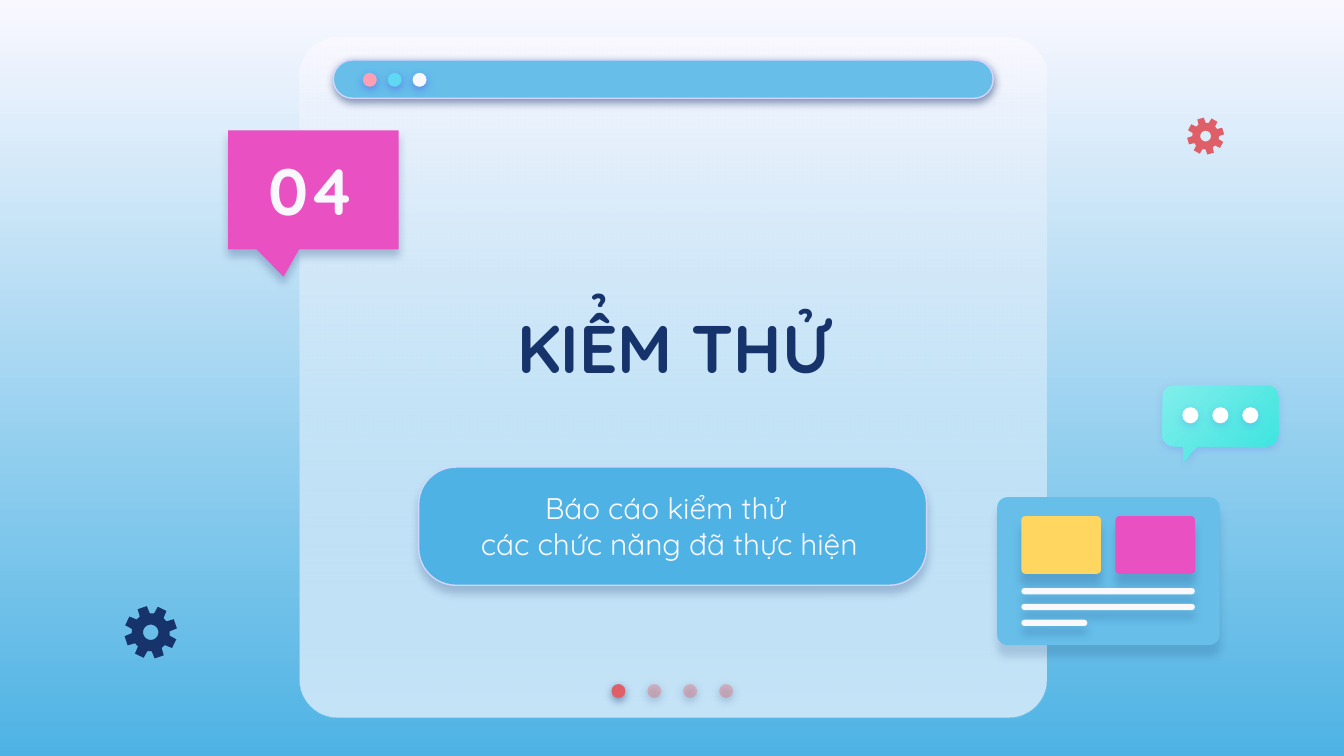
"""Build the section slide "04 KIỂM THỬ" on a grid of 100 by 56.25 square cells."""
import math

import pptx
import pptx.dml.color
import pptx.enum.shapes
import pptx.enum.text
import pptx.oxml.ns
import pptx.util
from lxml import etree

COLORS = {
    "white": "F9F8FF", "pure": "FFFFFF", "sky": "4EB3E4", "bar": "66BEE9",
    "edge": "D2D6FF", "navy": "17336B", "indigo": "5352EE", "magenta": "E951C2",
    "yellow": "FFD65F", "red": "DF5F69", "rose": "E27B83", "pink": "FDA0B4",
    "cyan": "60D8F4", "mint": "81EEEB", "teal": "3AE4DF",
}
RGB = {name: pptx.dml.color.RGBColor.from_string(code) for name, code in COLORS.items()}
SHAPE = pptx.enum.shapes.MSO_SHAPE
ANCHOR = pptx.enum.text.MSO_ANCHOR
qn = pptx.oxml.ns.qn

deck = pptx.Presentation()
deck.slide_width = pptx.util.Inches(10)
deck.slide_height = pptx.util.Inches(5.625)
slide = deck.slides.add_slide(deck.slide_layouts[6])
cell = deck.slide_width / 100


def paint(shape, fill, shadow=None, end=None, angle=270, alpha=100, edge=None):
    """Fill a shape, solid or as a gradient, with an optional edge and shadow."""
    if end:
        shape.fill.gradient()
        shape.fill.gradient_angle = angle
        for stop, name in zip(shape.fill.gradient_stops, (fill, end)):
            stop.color.rgb = RGB[name]
    else:
        shape.fill.solid()
        shape.fill.fore_color.rgb = RGB[fill]
    if alpha < 100:
        last_color = shape._element.spPr.findall(".//" + qn("a:srgbClr"))[-1]
        etree.SubElement(last_color, qn("a:alpha"), val=str(alpha * 1000))
    if edge:
        shape.line.color.rgb = RGB[edge]
        shape.line.width = pptx.util.Pt(0.75)
    else:
        shape.line.fill.background()
    shape.shadow.inherit = False
    if shadow:
        name, opacity, distance = shadow
        effects = shape._element.spPr.find(qn("a:effectLst"))
        outer = etree.SubElement(effects, qn("a:outerShdw"), blurRad=str(pptx.util.Pt(4.5)),
                                 dist=str(pptx.util.Pt(distance)), dir="5400000",
                                 algn="bl", rotWithShape="0")
        tint = etree.SubElement(outer, qn("a:srgbClr"), val=COLORS[name])
        etree.SubElement(tint, qn("a:alpha"), val=str(opacity * 1000))


def place(kind, cells, adjustments, *style, **options):
    """Add a preset shape at left, top, width and height in cells."""
    shape = slide.shapes.add_shape(kind, *(round(n * cell) for n in cells))
    for index, value in enumerate(adjustments):
        shape.adjustments[index] = value
    paint(shape, *style, **options)


backdrop = slide.background.fill
backdrop.gradient()
backdrop.gradient_angle = 270
for stop, name in zip(backdrop.gradient_stops, ("white", "sky")):
    stop.color.rgb = RGB[name]

window = (22.3, 2.8, 55.6, 50.6)
place(SHAPE.ROUNDED_RECTANGLE, window, [0.056], "white")
place(SHAPE.ROUNDED_RECTANGLE, window, [0.056], "white", end="bar", alpha=35)
for page in range(4):
    name, alpha = ("rose", 44) if page else ("red", 100)
    place(SHAPE.OVAL, (45.5 + 2.67 * page, 50.9, 1.04, 1.04), [], name,
          ("navy", 50, 1.5), alpha=alpha)
place(SHAPE.ROUNDED_RECTANGLE, (24.8, 4.47, 49.1, 2.85), [0.5], "bar",
      ("navy", 50, 1.5), edge="edge")
for button, name in enumerate(("pink", "cyan", "white")):
    place(SHAPE.OVAL, (27 + 1.85 * button, 5.42, 1.04, 1.04), [], name, ("indigo", 50, 1.5))

place(SHAPE.ROUNDED_RECTANGULAR_CALLOUT, (16.97, 9.7, 12.7, 8.85), [-0.174, 0.731, 0],
      "magenta", ("navy", 25, 3.8))
place(SHAPE.ROUNDED_RECTANGLE, (31.15, 34.75, 37.8, 8.8), [0.317], "sky",
      ("navy", 24, 3.8), edge="edge")

place(SHAPE.ROUNDED_RECTANGLE, (74.2, 37, 16.55, 11), [0.07], "bar", ("navy", 17, 6))
for tile, name in enumerate(("yellow", "magenta")):
    place(SHAPE.ROUNDED_RECTANGLE, (76 + 7 * tile, 38.4, 5.92, 4.3), [0.07], name,
          ("navy", 20, 6))
for line, length in enumerate((12.9, 12.9, 4.9)):
    place(SHAPE.ROUNDED_RECTANGLE, (76, 43.75 + 1.18 * line, length, 0.47), [0.5], "white",
          ("navy", 21, 4.5))

bubble = []
for corner_x, corner_y, start in ((94.3, 29.5, -90), (94.3, 32.4, 0),
                                  (87.3, 32.4, 90), (87.3, 29.5, 180)):
    if start == 90:
        bubble += [(89.1, 33.2), (88.1, 34.3), (88.1, 33.2)]
    for step in range(7):
        turn = math.radians(start + 15 * step)
        bubble.append((corner_x + 0.8 * math.cos(turn), corner_y + 0.8 * math.sin(turn)))
bubble = [(x * cell, y * cell) for x, y in bubble]
speech = slide.shapes.build_freeform(*bubble[0])
speech.add_line_segments(bubble[1:])
paint(speech.convert_to_shape(), "mint", ("indigo", 18, 1.5), end="teal", angle=315)
for dot in range(3):
    place(SHAPE.OVAL, (87.97 + 2.23 * dot, 30.3, 1.2, 1.2), [], "pure", ("indigo", 18, 1.5))

for center_x, center_y, radius, tilt, name in ((11.22, 47.05, 1.97, -109, "navy"),
                                               (89.71, 10.13, 1.38, -106, "red")):
    teeth = [(tilt + 45 * tooth + offset, share) for tooth in range(8)
             for offset, share in ((-16, 0.72), (-10.5, 1), (10.5, 1), (16, 0.72))]
    hole = [(15 * step, 0.29) for step in range(24)]
    rim, bore = ([((center_x + radius * share * math.cos(math.radians(angle))) * cell,
                   (center_y + radius * share * math.sin(math.radians(angle))) * cell)
                  for angle, share in ring] for ring in (teeth, hole))
    gear = slide.shapes.build_freeform(*rim[0])
    gear.add_line_segments(rim[1:])
    gear.move_to(*bore[0])
    gear.add_line_segments(bore[1:])
    paint(gear.convert_to_shape(), name)

for words, cells, size, name, bold, anchor, after in (
        ("KIỂM THỬ", (27.1, 16.7, 46, 18.2), 36, "navy", True, ANCHOR.MIDDLE, 0),
        ("Báo cáo kiểm thử \vcác chức năng đã thực hiện", (32.4, 35.2, 34.8, 7.8),
         16, "white", False, ANCHOR.MIDDLE, 12),
        ("04", (17.9, 10.2, 10.6, 7.8), 35, "white", True, ANCHOR.BOTTOM, 0)):
    frame = slide.shapes.add_textbox(*(round(n * cell) for n in cells)).text_frame
    frame.word_wrap = True
    frame.vertical_anchor = anchor
    frame.margin_left = frame.margin_right = round(cell)
    frame.margin_top = frame.margin_bottom = round(cell)
    frame.text = words
    paragraph = frame.paragraphs[0]
    paragraph.alignment = pptx.enum.text.PP_ALIGN.CENTER
    paragraph.space_after = pptx.util.Pt(after)
    for run in paragraph.runs:
        run.font.name = "Quicksand"
        run.font.size = pptx.util.Pt(size)
        run.font.bold = bold
        run.font.color.rgb = RGB[name]

deck.save("out.pptx")
